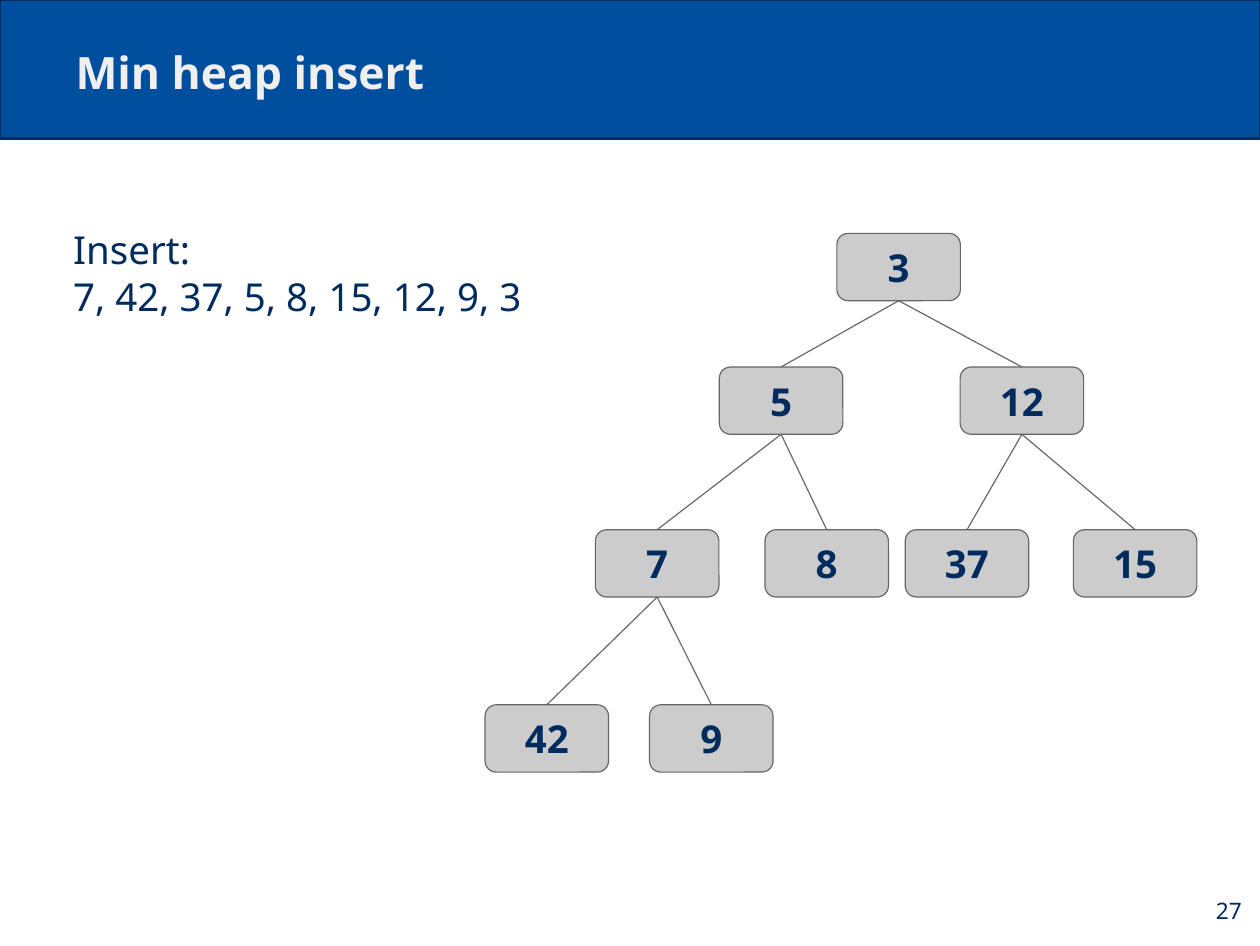
from lxml.etree import SubElement
from pptx import Presentation
from pptx.dml.color import RGBColor
from pptx.enum.shapes import MSO_CONNECTOR, MSO_SHAPE
from pptx.enum.text import MSO_ANCHOR, PP_ALIGN
from pptx.oxml.ns import qn
from pptx.util import Inches, Pt

WIDTH, HEIGHT = Inches(11.02), Inches(8.27)
FONT = "Noto Sans"
NAVY, BLUE, PALE = "002B5E", "004F9E", "EFEFEF"
GREY, EDGE = "CCCCCC", "666666"

HEAP = [3, 5, 12, 7, 8, 37, 15, 42, 9]
MIDS = [58.1, 41.6, 75.4, 24.2, 48, 67.7, 91.3, 8.7, 31.8]
TOPS = [0, 24.8, 55, 87.5]
NODE = 17.34, 12.5


def color(code):
    """Turn a hex string into a colour."""
    return RGBColor.from_string(code)


def part(box, left, top, wide, high):
    """Return the area inside a box that is given in percent of it."""
    x, y, w, h = box
    return (round(x + w * left / 100), round(y + h * top / 100),
            round(w * wide / 100), round(h * high / 100))


def write(shape, lines, size, code, bold=False,
          align=PP_ALIGN.LEFT, anchor=MSO_ANCHOR.TOP):
    """Fill a shape with one paragraph of broken lines."""
    frame = shape.text_frame
    frame.word_wrap = True
    frame.vertical_anchor = anchor
    frame.margin_left = frame.margin_right = Inches(0.11)
    frame.margin_top = frame.margin_bottom = Inches(0.11)
    para = frame.paragraphs[0]
    para.alignment = align
    for count, line in enumerate(lines):
        if count:
            para.add_line_break()
        run = para.add_run()
        run.text = line
        run.font.name = FONT
        run.font.size = Pt(size)
        run.font.bold = bold
        run.font.color.rgb = color(code)


def block(slide, kind, box, fill, line, width):
    """Add a filled and outlined shape."""
    shape = slide.shapes.add_shape(kind, *box)
    shape.shadow.inherit = False
    shape.fill.solid()
    shape.fill.fore_color.rgb = color(fill)
    shape.line.color.rgb = color(line)
    shape.line.width = Pt(width)
    return shape


def join(slide, upper, lower):
    """Link the bottom of one node to the top of another."""
    link = slide.shapes.add_connector(MSO_CONNECTOR.STRAIGHT, 0, 0, 0, 0)
    link.begin_connect(upper, 2)
    link.end_connect(lower, 0)
    link.line.color.rgb = color(EDGE)
    link.line.width = Pt(0.75)
    SubElement(link._element.spPr, qn("a:effectLst"))


def header(slide, box):
    """Draw the title band."""
    block(slide, MSO_SHAPE.RECTANGLE, box, BLUE, NAVY, 1.5)
    title = slide.shapes.add_textbox(*part(box, 5, 19.8, 90, 60.3))
    write(title, ["Min heap insert"], 28, PALE, True, anchor=MSO_ANCHOR.BOTTOM)


def task(slide, box):
    """Write the list of values to insert."""
    text = slide.shapes.add_textbox(*box)
    write(text, ["Insert:", "7, 42, 37, 5, 8, 15, 12, 9, 3"], 24.2, NAVY)


def tree(slide, box):
    """Draw the heap, where each node hangs from its parent."""
    wide, high = NODE
    nodes = []
    for index, (value, mid) in enumerate(zip(HEAP, MIDS)):
        top = TOPS[(index + 1).bit_length() - 1]
        area = part(box, mid - wide / 2, top, wide, high)
        node = block(slide, MSO_SHAPE.ROUNDED_RECTANGLE, area, GREY, EDGE, 0.75)
        write(node, [str(value)], 24.2, NAVY, True,
              PP_ALIGN.CENTER, MSO_ANCHOR.MIDDLE)
        if index:
            join(slide, nodes[(index - 1) // 2], node)
        nodes.append(node)


def footer(slide, box):
    """Write the page number."""
    text = slide.shapes.add_textbox(*box)
    write(text, ["27"], 14.3, NAVY, align=PP_ALIGN.RIGHT,
          anchor=MSO_ANCHOR.MIDDLE)


def main():
    """Build and save the slide."""
    deck = Presentation()
    deck.slide_width, deck.slide_height = WIDTH, HEIGHT
    slide = deck.slides.add_slide(deck.slide_layouts[6])
    page = 0, 0, WIDTH, HEIGHT
    header(slide, part(page, 0, 0, 100, 14.63))
    task(slide, part(page, 4.81, 22.61, 40, 14.15))
    tree(slide, part(page, 38.48, 24.67, 56.53, 56.95))
    footer(slide, part(page, 93.56, 92.38, 6, 7.62))
    deck.save("out.pptx")


if __name__ == "__main__":
    main()
